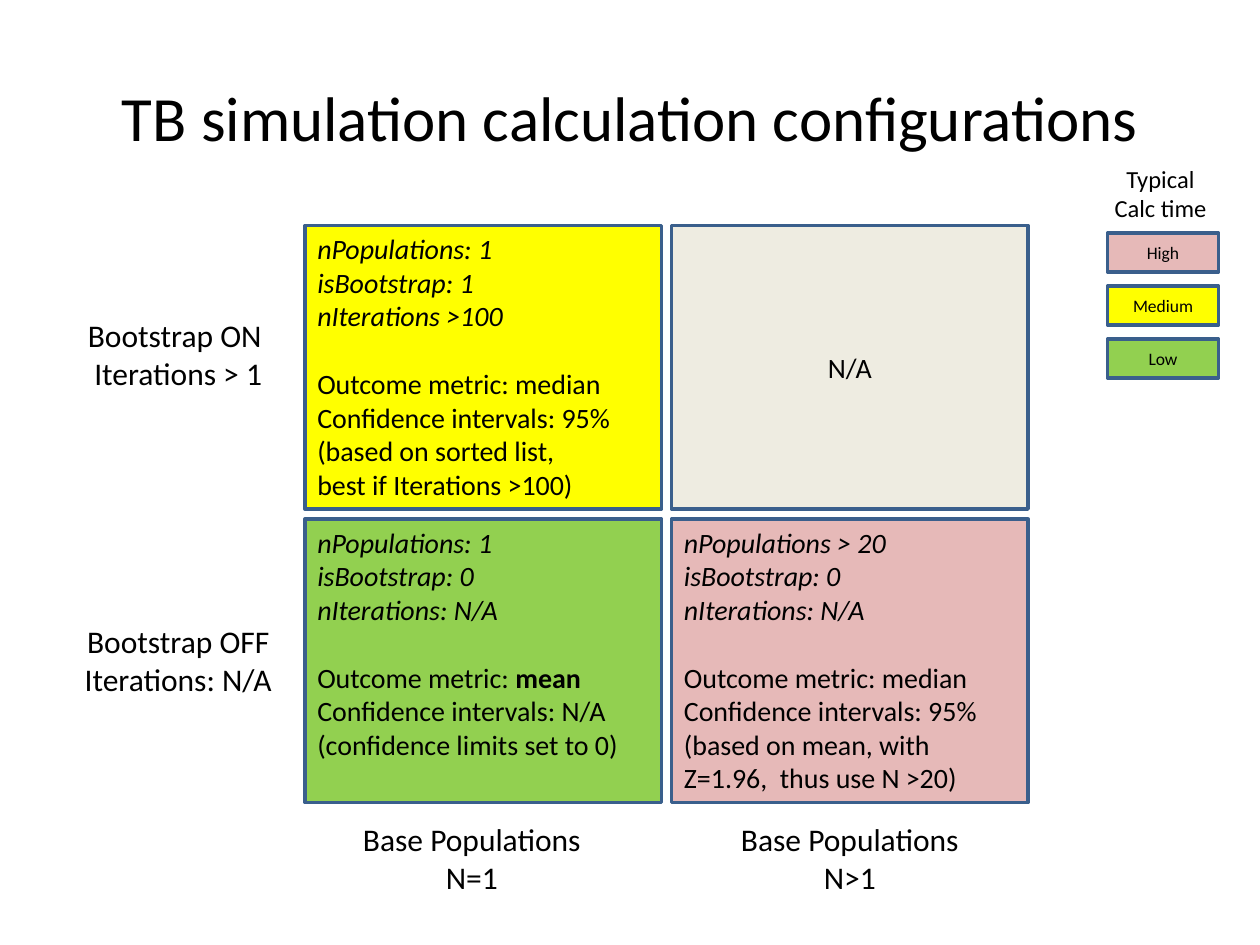
from dataclasses import dataclass

from pptx import Presentation
from pptx.dml.color import RGBColor
from pptx.enum import shapes, text
from pptx.util import Inches, Pt


@dataclass(frozen=True)
class Theme:
    font: str = "Calibri"
    ink: str = "000000"
    edge: str = "3A5F8C"
    high: str = "E6B9B8"
    medium: str = "FFFF00"
    low: str = "92D050"
    none: str = "EEECE1"
    title: int = 36
    label: int = 18
    body: int = 16
    head: int = 14
    key: int = 10


THEME = Theme()
MID = text.MSO_ANCHOR.MIDDLE
TOP = text.MSO_ANCHOR.TOP
LEFT = text.PP_ALIGN.LEFT
CENTER = text.PP_ALIGN.CENTER


def write(para, words, size, italic=False, bold=False):
    """Add words to a paragraph; a newline becomes a line break."""
    for i, line in enumerate(words.split("\n")):
        if i:
            para.add_line_break()
        run = para.add_run()
        run.text = line
        font = run.font
        font.name, font.size = THEME.font, Pt(size)
        font.italic, font.bold = italic, bold
        font.color.rgb = RGBColor.from_string(THEME.ink)


class Deck:
    def __init__(self, theme, width, height):
        self.theme = theme
        self.file = Presentation()
        self.file.slide_width = Inches(width)
        self.file.slide_height = Inches(height)
        self.slide = self.file.slides.add_slide(self.file.slide_layouts[6])

    def fill(self, shape, lines, size, anchor=MID, align=CENTER):
        """Set the lines in a shape and return its paragraphs."""
        frame = shape.text_frame
        frame.word_wrap = True
        frame.vertical_anchor = anchor
        for i, line in enumerate(lines):
            para = frame.add_paragraph() if i else frame.paragraphs[0]
            para.alignment = align
            write(para, line, size)
        return frame.paragraphs

    def label(self, lines, at, size, anchor=TOP):
        box = self.slide.shapes.add_textbox(*map(Inches, at))
        self.fill(box, lines, size, anchor)

    def box(self, at, color):
        rect = self.slide.shapes.add_shape(
            shapes.MSO_SHAPE.RECTANGLE, *map(Inches, at))
        rect.shadow.inherit = False
        rect.fill.solid()
        rect.fill.fore_color.rgb = RGBColor.from_string(color)
        rect.line.color.rgb = RGBColor.from_string(self.theme.edge)
        rect.line.width = Pt(2)
        return rect

    def key(self, word, at, color):
        self.fill(self.box(at, color), [word], self.theme.key)

    def cell(self, at, color, setup, notes, strong=""):
        """Draw a box with italic settings above plain notes."""
        size = self.theme.body
        paras = self.fill(self.box(at, color), setup + notes, size, TOP, LEFT)
        for para in paras[:len(setup)]:
            for run in para.runs:
                run.font.italic = True
        first = paras[len(setup)]
        first.space_before = Pt(19.5)
        if strong:
            write(first, strong, size, bold=True)


def main():
    deck = Deck(THEME, 10, 7.5)
    deck.label(["TB simulation calculation configurations"],
               (0.5, 0.3, 9, 1.25), THEME.title, MID)

    wide, high = 2.83, 2.25
    cols, rows = (2.42, 5.33), (1.79, 4.12)
    spots = [[(x, y, wide, high) for x in cols] for y in rows]

    deck.cell(spots[0][0], THEME.medium,
              ["nPopulations: 1", "isBootstrap: 1", "nIterations >100"],
              ["Outcome metric: median",
               "Confidence intervals: 95% (based on sorted list, \n"
               "best if Iterations >100)"])
    deck.fill(deck.box(spots[0][1], THEME.none), ["N/A"], THEME.body)
    deck.cell(spots[1][0], THEME.low,
              ["nPopulations: 1", "isBootstrap: 0", "nIterations: N/A"],
              ["Outcome metric: ", "Confidence intervals: N/A",
               "(confidence limits set to 0)"], strong="mean")
    deck.cell(spots[1][1], THEME.high,
              ["nPopulations > 20", "isBootstrap: 0", "nIterations: N/A"],
              ["Outcome metric: median",
               "Confidence intervals: 95% (based on mean, with "
               "Z=1.96,  thus use N >20)"])

    for x, count in ((2.58, "N=1"), (5.58, "N>1")):
        deck.label(["Base Populations", count], (x, 6.46, 2.33, 0.71),
                   THEME.label)
    for y, lines in ((2.46, ["Bootstrap ON ", "Iterations > 1"]),
                     (4.89, ["Bootstrap OFF", "Iterations: N/A"])):
        deck.label(lines, (0.25, y, 2.33, 0.71), THEME.label)

    deck.label(["Typical", "Calc time"], (8.67, 1.25, 1.08, 0.57), THEME.head)
    levels = (("High", THEME.high), ("Medium", THEME.medium),
              ("Low", THEME.low))
    for i, (word, color) in enumerate(levels):
        deck.key(word, (8.79, 1.85 + 0.42 * i, 0.88, 0.31), color)

    deck.file.save("out.pptx")


if __name__ == "__main__":
    main()
